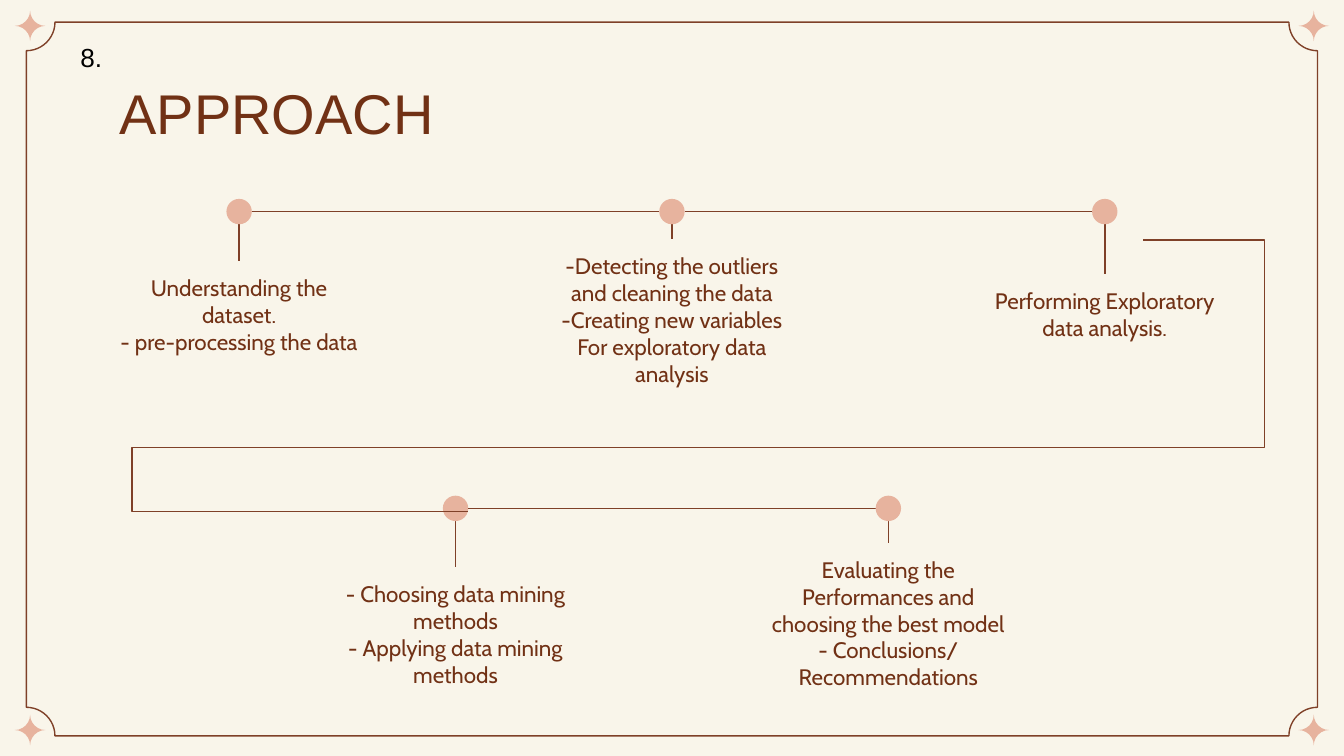
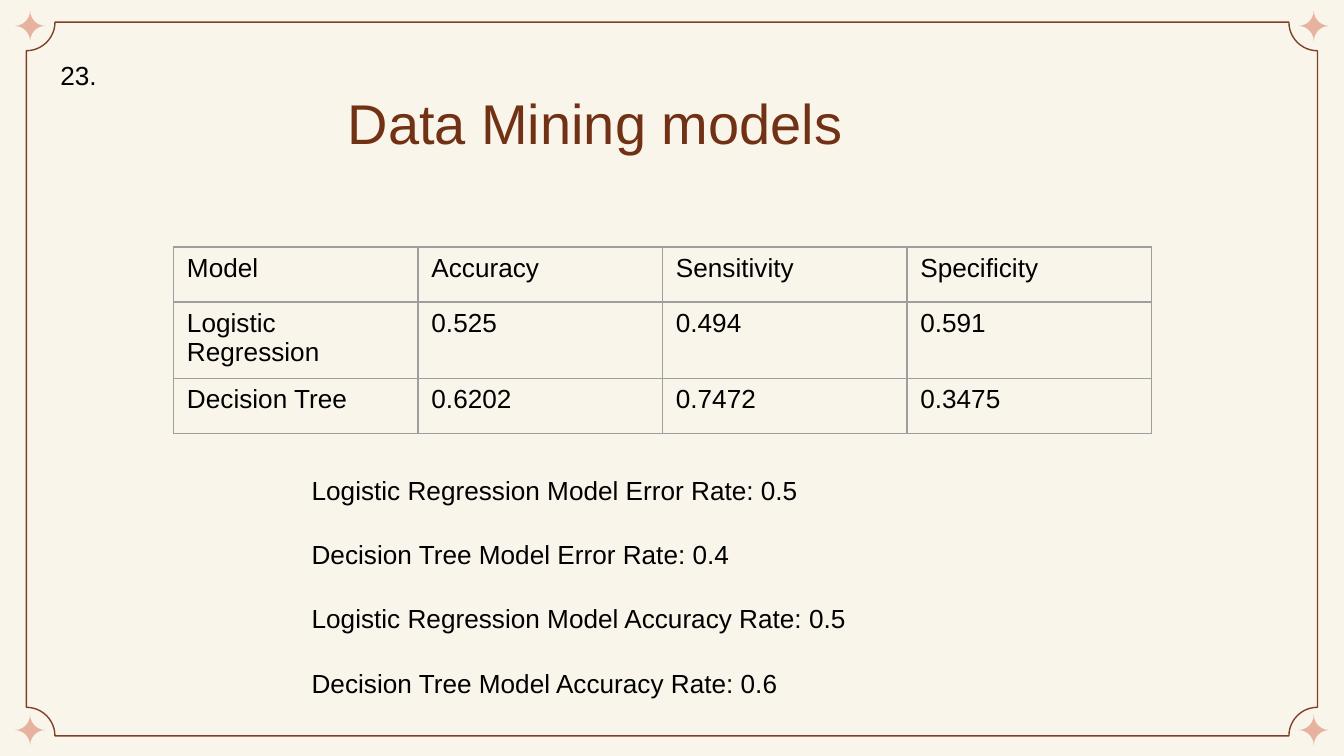
import dataclasses

import lxml.etree
import pptx
import pptx.dml.color
import pptx.enum.shapes
import pptx.enum.text
import pptx.oxml.ns
import pptx.util

Cm = pptx.util.Cm
Pt = pptx.util.Pt
RGB = pptx.dml.color.RGBColor.from_string
SHAPE = pptx.enum.shapes.MSO_SHAPE
CONNECTOR = pptx.enum.shapes.MSO_CONNECTOR
ALIGN = pptx.enum.text.PP_ALIGN
qn = pptx.oxml.ns.qn


@dataclasses.dataclass(frozen=True)
class Theme:
    paper: str = "F9F5EA"
    line: str = "7F4028"
    accent: str = "E7B39E"
    heading: str = "713115"
    ink: str = "000000"
    grid: str = "9E9E9E"
    font: str = "Arial"
    step_font: str = "Cabin"
    title_size: int = 30
    text_size: int = 14
    step_size: int = 12
    line_width: float = 0.75


theme = Theme()


def write(frame, text, size=theme.text_size, color=theme.ink, font=theme.font,
          align=ALIGN.LEFT, gap=0, inset=None):
    """Fill a text frame, one paragraph per line of text."""
    frame.word_wrap = True
    if inset is not None:
        frame.margin_top = frame.margin_bottom = Cm(inset)
    for index, line in enumerate(text.split("\n")):
        paragraph = frame.paragraphs[0] if index == 0 else frame.add_paragraph()
        paragraph.alignment = align
        if index and gap:
            paragraph.space_before = Pt(gap)
        run = paragraph.add_run()
        run.text = line
        run.font.size = Pt(size)
        run.font.name = font
        run.font.color.rgb = RGB(color)


def connect(slide, kind, x1, y1, x2, y2):
    connector = slide.shapes.add_connector(kind, Cm(x1), Cm(y1), Cm(x2), Cm(y2))
    connector.line.color.rgb = RGB(theme.line)
    connector.line.width = Pt(theme.line_width)
    properties = connector._element.spPr
    lxml.etree.SubElement(properties, qn("a:effectLst"))
    return properties


WIDTH, HEIGHT = 25.4, 14.29
deck = pptx.Presentation()
deck.slide_width, deck.slide_height = Cm(WIDTH), Cm(HEIGHT)

# Both slides: background, notched frame, corner stars, title, number
STAR = 0.58
star_corners = [(x, y) for y in (0.2, 13.51) for x in (0.28, WIDTH - 0.28 - STAR)]
pages = [
    # title, its left, top and width; number, its left, top and width
    ("APPROACH", 2.01, 1.24, 21.41, "8.", 1.27, 0.66, 0.94),
    ("Data Mining models", 6.32, 1.42, 18, "23.", 0.89, 0.99, 13.87),
]
for title, title_x, title_y, title_w, number, number_x, number_y, number_w in pages:
    slide = deck.slides.add_slide(deck.slide_layouts[6])
    slide.background.fill.solid()
    slide.background.fill.fore_color.rgb = RGB(theme.paper)

    border = slide.shapes.add_shape(SHAPE.PLAQUE, Cm(0.5), Cm(0.42), Cm(24.4), Cm(13.49))
    border.adjustments[0] = 0.04
    border.shadow.inherit = False
    border.fill.background()
    border.line.color.rgb = RGB(theme.line)
    border.line.width = Pt(theme.line_width)

    for x, y in star_corners:
        star = slide.shapes.add_shape(SHAPE.PLAQUE, Cm(x), Cm(y), Cm(STAR), Cm(STAR))
        star.adjustments[0] = 0.5
        star.shadow.inherit = False
        star.fill.solid()
        star.fill.fore_color.rgb = RGB(theme.accent)
        star.line.fill.background()

    heading = slide.shapes.add_textbox(Cm(title_x), Cm(title_y), Cm(title_w), Cm(1.6))
    write(heading.text_frame, title, size=theme.title_size, color=theme.heading, inset=0.25)
    page_number = slide.shapes.add_textbox(Cm(number_x), Cm(number_y), Cm(number_w), Cm(0.86))
    write(page_number.text_frame, number)

approach, models = deck.slides

# Approach: steps on two rows, each a dot, a stem and a text below
DOT = 0.48
STEP_WIDTH = 5.08
PITCH = 8.18
step_rows = [
    # row centre, then text, text top and text height of each step
    (4.0, [
        ("Understanding the dataset.\n- pre-processing the data", 4.93, 2.69),
        ("-Detecting the outliers and cleaning the data\n-Creating new variables\n"
         "For exploratory data analysis", 4.52, 3.15),
        ("Performing Exploratory data analysis.", 5.18, 2.24),
    ]),
    (9.61, [
        ("- Choosing data mining methods\n- Applying data mining methods", 10.72, 2.69),
        ("Evaluating the Performances and choosing the best model\n"
         "- Conclusions/\nRecommendations", 10.26, 3.48),
    ]),
]
for row_y, steps in step_rows:
    first_x = WIDTH / 2 - PITCH * (len(steps) - 1) / 2
    for index, (text, top, height) in enumerate(steps):
        x = first_x + index * PITCH
        step = approach.shapes.add_textbox(
            Cm(x - STEP_WIDTH / 2), Cm(top), Cm(STEP_WIDTH), Cm(height))
        write(step.text_frame, text, size=theme.step_size, color=theme.heading,
              font=theme.step_font, align=ALIGN.CENTER, inset=0.25)
        connect(approach, CONNECTOR.STRAIGHT, x, row_y + DOT / 2, x, top)
        if index:
            connect(approach, CONNECTOR.STRAIGHT,
                    x - PITCH + DOT / 2, row_y, x - DOT / 2, row_y)
        dot = approach.shapes.add_shape(
            SHAPE.OVAL, Cm(x - DOT / 2), Cm(row_y - DOT / 2), Cm(DOT), Cm(DOT))
        dot.shadow.inherit = False
        dot.fill.solid()
        dot.fill.fore_color.rgb = RGB(theme.accent)
        dot.line.fill.background()

# Five-part elbow leading from the first row to the second
row_link = connect(approach, CONNECTOR.ELBOW, 21.61, 4.54, 8.85, 9.67)
elbow = row_link.find(qn("a:prstGeom"))
elbow.set("prst", "bentConnector5")
bends = elbow.find(qn("a:avLst"))
for index, bend in enumerate((-17900, 76400, 149800), start=1):
    lxml.etree.SubElement(bends, qn("a:gd"), name=f"adj{index}", fmla=f"val {bend}")

# Data Mining models: score table
scores = [
    ("Model", "Accuracy", "Sensitivity", "Specificity"),
    ("Logistic Regression", "0.525", "0.494", "0.591"),
    ("Decision Tree", "0.6202", "0.7472", "0.3475"),
]
COLUMN, ROW = 4.62, 1.04
score_table = models.shapes.add_table(
    len(scores), len(scores[0]), Cm(3.28), Cm(4.67),
    Cm(COLUMN * len(scores[0])), Cm(ROW * len(scores))).table
score_table.first_row = score_table.horz_banding = False
for column in score_table.columns:
    column.width = Cm(COLUMN)
for row, values in zip(score_table.rows, scores):
    row.height = Cm(ROW)
    for cell, value in zip(row.cells, values):
        write(cell.text_frame, value)
        cell.fill.background()
        cell_properties = cell._tc.get_or_add_tcPr()
        for position, side in enumerate(("lnL", "lnR", "lnT", "lnB")):
            edge = lxml.etree.Element(qn(f"a:{side}"), w=str(Pt(theme.line_width)))
            paint = lxml.etree.SubElement(edge, qn("a:solidFill"))
            lxml.etree.SubElement(paint, qn("a:srgbClr"), val=theme.grid)
            cell_properties.insert(position, edge)

# Data Mining models: error and accuracy rates
rates = models.shapes.add_textbox(Cm(5.64), Cm(8.84), Cm(14.48), Cm(4.45))
write(rates.text_frame,
      "Logistic Regression Model Error Rate: 0.5\n"
      "Decision Tree Model Error Rate: 0.4\n"
      "Logistic Regression Model Accuracy Rate: 0.5\n"
      "Decision Tree Model Accuracy Rate: 0.6", gap=17.6)

deck.save("out.pptx")
